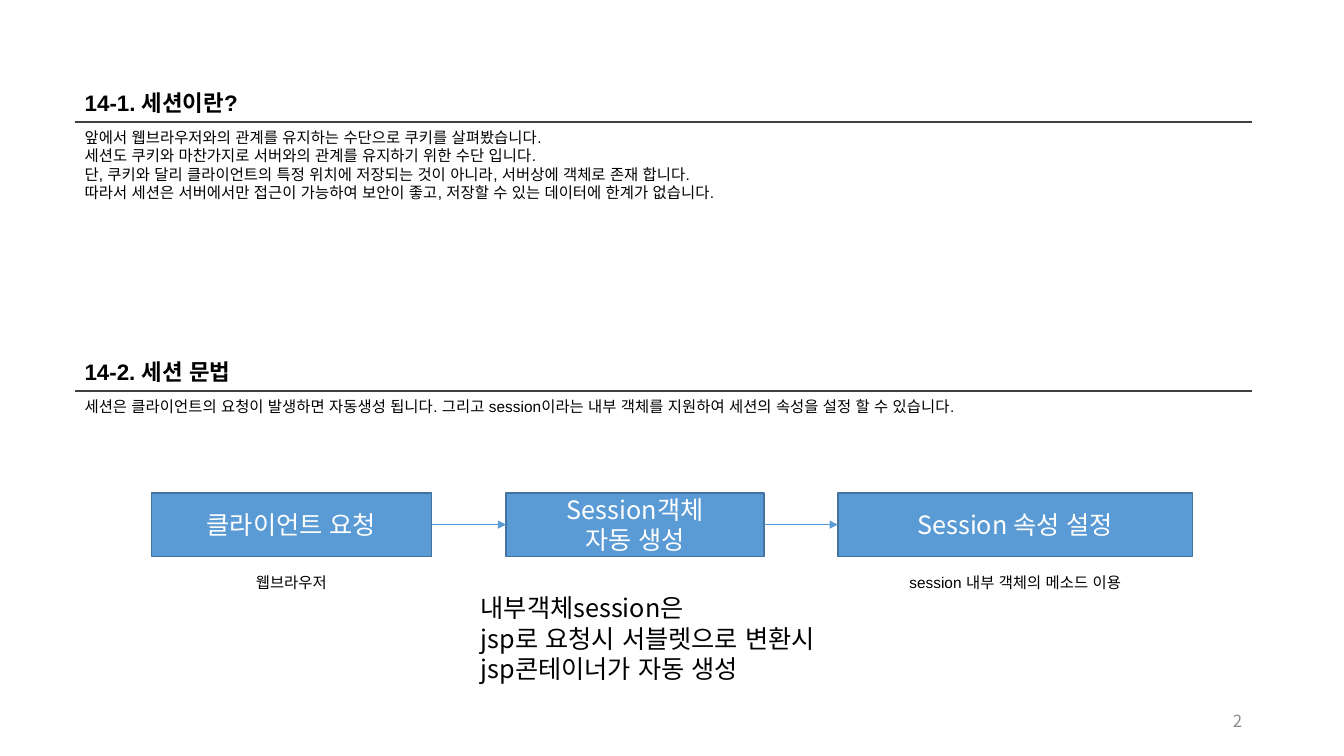
from pptx import Presentation
from pptx.dml.color import RGBColor
from pptx.enum.lang import MSO_LANGUAGE_ID
from pptx.enum.shapes import MSO_CONNECTOR, MSO_SHAPE
from pptx.enum.text import MSO_ANCHOR, MSO_AUTO_SIZE, PP_ALIGN
from pptx.oxml.ns import qn
from pptx.util import Inches, Pt
from lxml.etree import SubElement

COLORS = {"ink": "000000", "rule": "404040", "box": "5B9BD5",
          "edge": "43739E", "white": "FFFFFF", "number": "8C8C8C"}
ARIAL, NOTO = "Arial", "Noto Sans CJK KR"

# top, heading, body height, body lines
SECTIONS = [
    (0.83, "14-1. 세션이란?", 0.84, [
        "앞에서 웹브라우저와의 관계를 유지하는 수단으로 쿠키를 살펴봤습니다.",
        "세션도 쿠키와 마찬가지로 서버와의 관계를 유지하기 위한 수단 입니다.",
        "단, 쿠키와 달리 클라이언트의 특정 위치에 저장되는 것이 아니라, 서버상에 객체로 존재 합니다.",
        "따라서 세션은 서버에서만 접근이 가능하여 보안이 좋고, 저장할 수 있는 데이터에 한계가 없습니다.",
    ]),
    (3.5, "14-2. 세션 문법", 0.29, [
        "세션은 클라이언트의 요청이 발생하면 자동생성 됩니다. 그리고 session이라는 내부 객체를 "
        "지원하여 세션의 속성을 설정 할 수 있습니다.",
    ]),
]
# left, width, box lines, caption below
STEPS = [
    (1.5, 2.78, ["클라이언트 요청"], "웹브라우저"),
    (5.02, 2.56, ["Session객체", "자동 생성"], None),
    (8.31, 3.52, ["Session 속성 설정"], "session 내부 객체의 메소드 이용"),
]
NOTE = ["내부객체session은", "jsp로 요청시 서블렛으로 변환시", "jsp콘테이너가 자동 생성"]
PAGE_NUMBER = "2"

LEFT, WIDTH = 0.74, 11.68
HEADING_HEIGHT = 0.37
STEP_TOP, STEP_HEIGHT, CAPTION_TOP = 4.89, 0.63, 5.64


def color(name):
    return RGBColor.from_string(COLORS[name])


def place(shape, left, top, width, height):
    shape.left, shape.top = Inches(left), Inches(top)
    shape.width, shape.height = Inches(width), Inches(height)


def write(shape, lines, size, font=ARIAL, ink="ink", bold=False,
          align=PP_ALIGN.LEFT, anchor=MSO_ANCHOR.TOP, wrap=True):
    frame = shape.text_frame
    frame.word_wrap = wrap
    frame.auto_size = MSO_AUTO_SIZE.NONE
    frame.vertical_anchor = anchor
    for index, line in enumerate(lines):
        paragraph = frame.add_paragraph() if index else frame.paragraphs[0]
        paragraph.alignment = align
        paragraph.space_before = Pt(0)
        paragraph.line_spacing = 1.0
        if shape.is_placeholder:
            properties = paragraph._p.get_or_add_pPr()
            properties.set("marL", "0")
            properties.set("indent", "0")
            SubElement(properties, qn("a:buNone"))
        run = paragraph.add_run()
        run.text = line
        run.font.size, run.font.bold = Pt(size), bold
        run.font.color.rgb = color(ink)
        run.font.language_id = MSO_LANGUAGE_ID.KOREAN
        run.font.name = font
        SubElement(run._r.get_or_add_rPr(), qn("a:ea")).set("typeface", NOTO)


def add_text(left, top, width, height, lines, size, **style):
    box = slide.shapes.add_textbox(0, 0, 0, 0)
    place(box, left, top, width, height)
    write(box, lines, size, **style)


def add_line(x1, y1, x2, y2, ink, weight):
    line = slide.shapes.add_connector(
        MSO_CONNECTOR.STRAIGHT, Inches(x1), Inches(y1), Inches(x2), Inches(y2))
    line.line.color.rgb = color(ink)
    line.line.width = Pt(weight)
    SubElement(line._element.spPr, qn("a:effectLst"))
    return line


deck = Presentation()
deck.slide_width, deck.slide_height = Inches(13.33), Inches(7.5)
slide = deck.slides.add_slide(deck.slide_layouts[1])

for number, (top, heading, body_height, body_lines) in enumerate(SECTIONS):
    rule_y = top + 0.38
    heading_area = (LEFT, top, WIDTH, HEADING_HEIGHT)
    body_area = (LEFT, rule_y + 0.01, WIDTH, body_height)
    if number == 0:
        title, body = slide.shapes.title, slide.placeholders[1]
        place(title, *heading_area)
        write(title, [heading], 16, bold=True)
        place(body, *body_area)
        write(body, body_lines, 11)
    else:
        add_text(*heading_area, [heading], 16, bold=True)
        add_text(*body_area, body_lines, 11)
    add_line(LEFT, rule_y, LEFT + WIDTH, rule_y, "rule", 1)

previous_step = None
for left, width, label, caption in STEPS:
    step = slide.shapes.add_shape(MSO_SHAPE.RECTANGLE, 0, 0, 0, 0)
    place(step, left, STEP_TOP, width, STEP_HEIGHT)
    step.shadow.inherit = False
    step.fill.solid()
    step.fill.fore_color.rgb = color("box")
    step.line.color.rgb = color("edge")
    step.line.width = Pt(1)
    write(step, label, 18, font=NOTO, ink="white",
          align=PP_ALIGN.CENTER, anchor=MSO_ANCHOR.MIDDLE)
    if caption:
        add_text(left, CAPTION_TOP, width, 0.29, [caption], 11, align=PP_ALIGN.CENTER)
    if previous_step:
        arrow = add_line(0, 0, 1, 1, "box", 0.5)
        arrow.begin_connect(previous_step, 3)
        arrow.end_connect(step, 1)
        SubElement(arrow.line._get_or_add_ln(), qn("a:tailEnd")).set("type", "triangle")
    previous_step = step

add_text(4.67, 5.83, 3.82, 1.01, NOTE, 18, font=NOTO, wrap=False)
add_text(9.42, 6.95, 3, 0.4, [PAGE_NUMBER], 12, font=NOTO, ink="number",
         align=PP_ALIGN.RIGHT, anchor=MSO_ANCHOR.MIDDLE)

deck.save("out.pptx")
